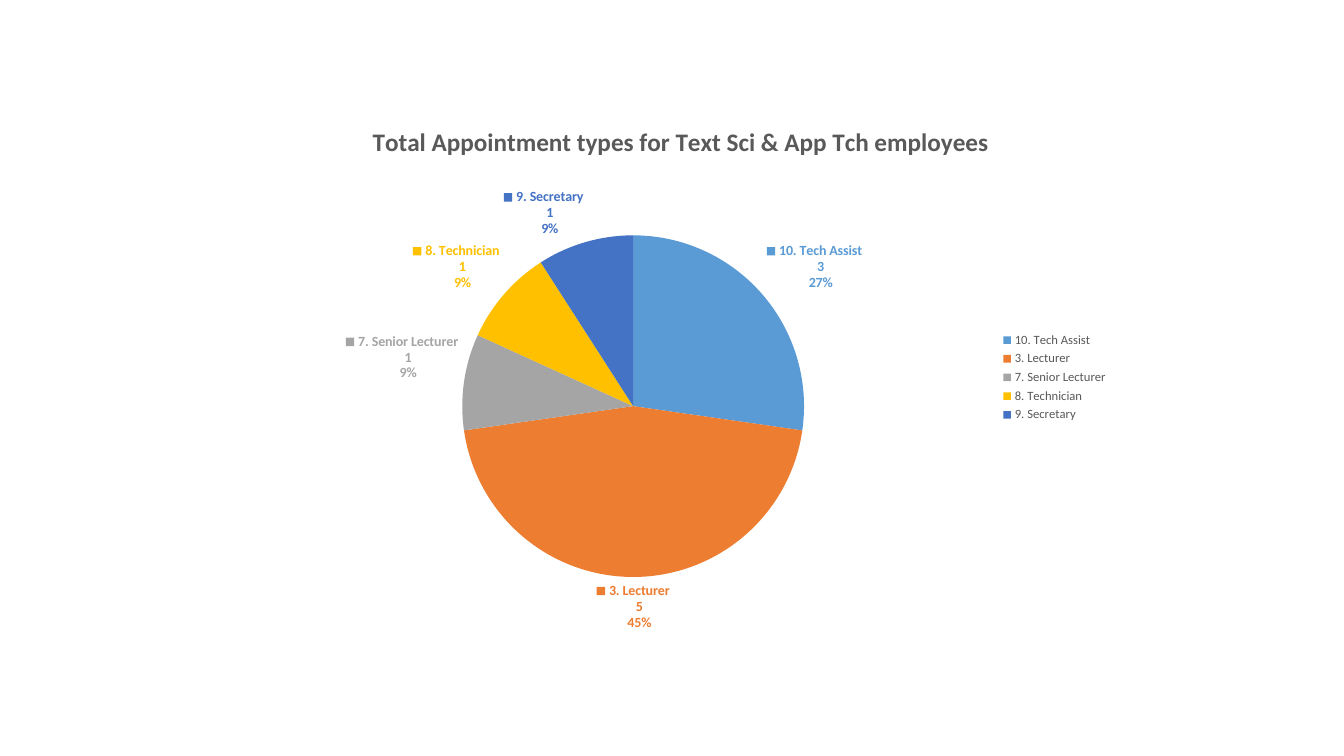
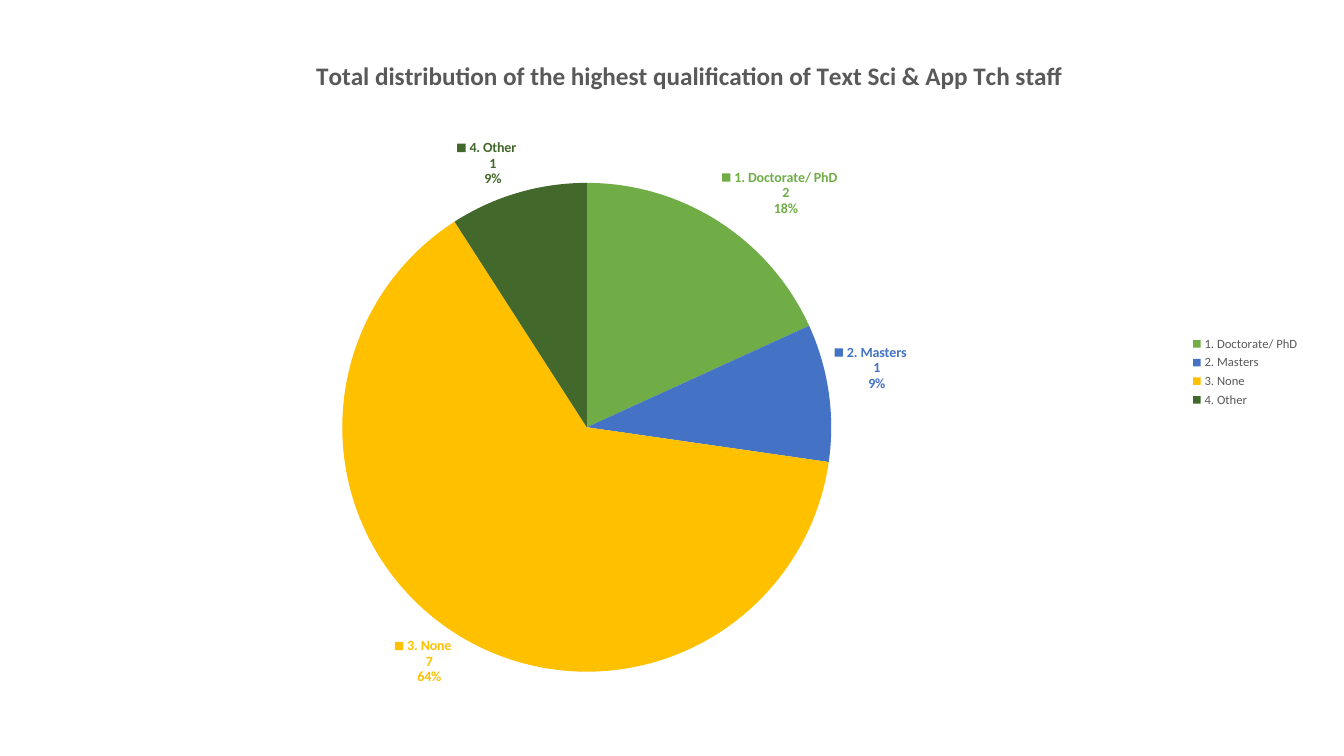
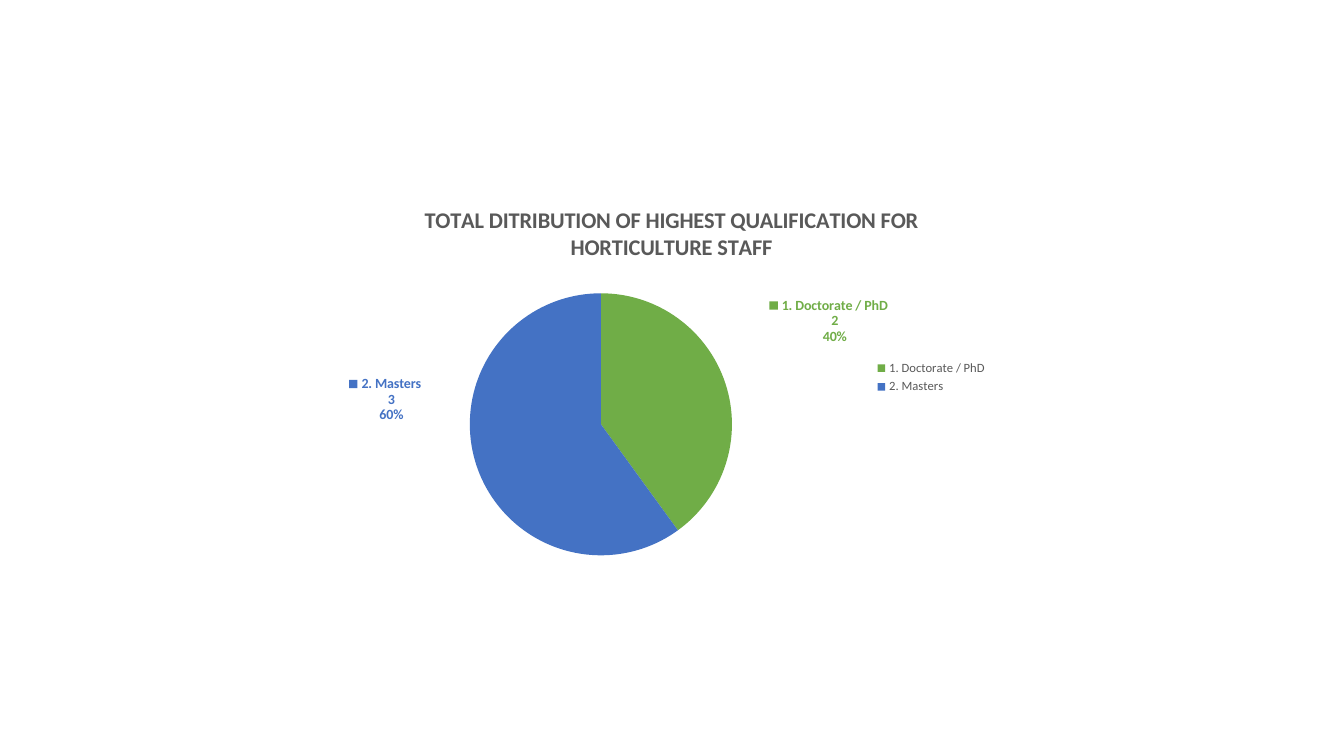
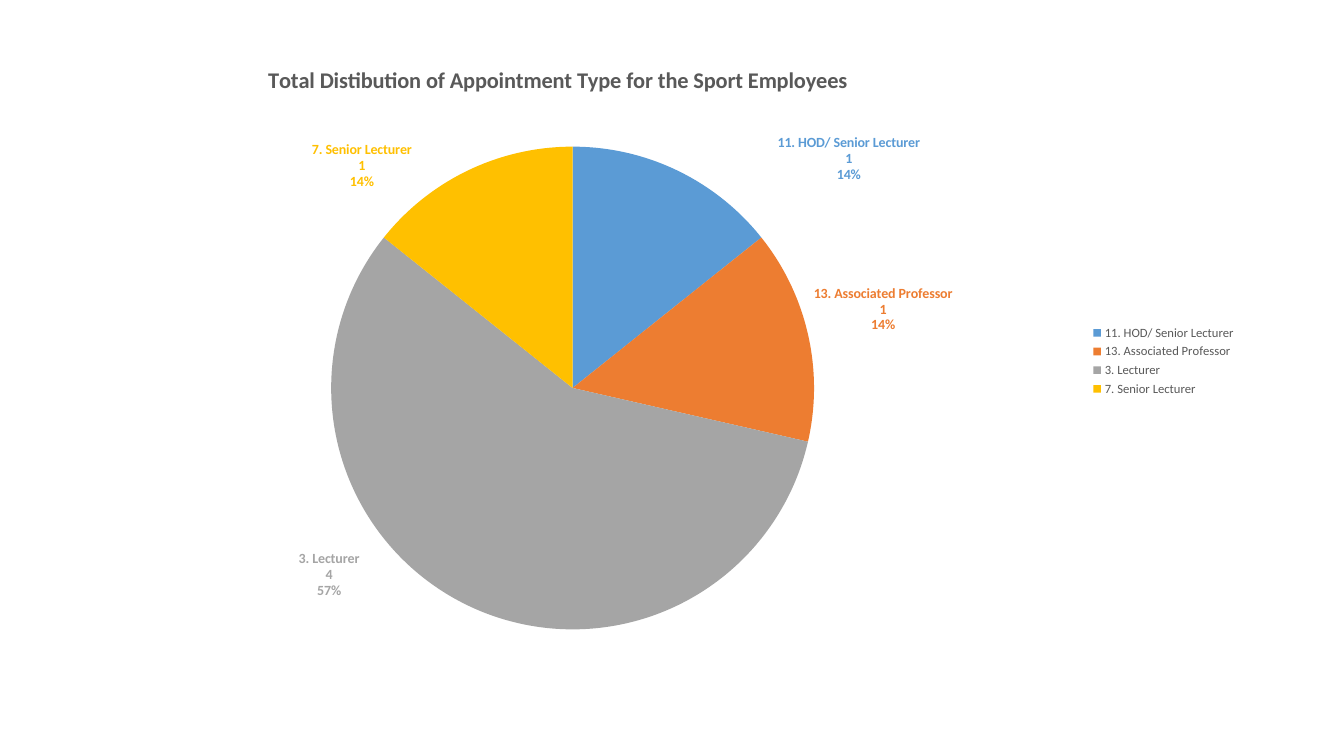
import dataclasses
import pptx
import pptx.chart.data
import pptx.dml.color
import pptx.enum.chart
import pptx.oxml
import pptx.oxml.ns
import pptx.util


@dataclasses.dataclass(frozen=True)
class Theme:
    font: str = "Calibri"
    text: str = "595959"
    blue: str = "5B9BD5"
    orange: str = "ED7D31"
    gray: str = "A5A5A5"
    gold: str = "FFC000"
    navy: str = "4472C4"
    green: str = "70AD47"
    forest: str = "43682B"
    title_size: int = 18
    small_title_size: int = 16
    label_size: int = 10
    legend_size: int = 9


THEME = Theme()


@dataclasses.dataclass(frozen=True)
class Slice:
    category: str
    value: int
    color: str
    label_shift: tuple = ()


@dataclasses.dataclass(frozen=True)
class PieSlide:
    title: str
    frame: tuple
    title_corner: tuple
    pie_center: tuple
    pie_diameter: float
    slices: tuple
    title_size: int = THEME.title_size
    legend_keys: bool = True


PIE_SLIDES = (
    PieSlide(
        "Total Appointment types for Text Sci & App Tch employees",
        (2.24, 1.1, 8.85, 5.29), (3.65, 1.19), (6.28, 4.03), 3.39,
        (
            Slice("10. Tech Assist", 3, THEME.blue),
            Slice("3. Lecturer", 5, THEME.orange),
            Slice("7. Senior Lecturer", 1, THEME.gray),
            Slice("8. Technician", 1, THEME.gold),
            Slice("9. Secretary", 1, THEME.navy),
        ),
    ),
    PieSlide(
        "Total distribution of the highest qualification of Text Sci & App Tch staff",
        (0.6, 0.26, 12.39, 6.86), (3.09, 0.53), (5.82, 4.24), 4.85,
        (
            Slice("1. Doctorate/ PhD", 2, THEME.green),
            Slice("2. Masters", 1, THEME.navy),
            Slice("3. None", 7, THEME.gold),
            Slice("4. Other", 1, THEME.forest),
        ),
    ),
    PieSlide(
        "TOTAL DITRIBUTION OF HIGHEST QUALIFICATION FOR HORTICULTURE STAFF",
        (3.45, 1.8, 6.44, 3.89), (4.17, 1.99), (5.96, 4.21), 2.6,
        (
            Slice("1. Doctorate / PhD", 2, THEME.green, (0.38, -0.37)),
            Slice("2. Masters", 3, THEME.navy, (-0.49, -0.9)),
        ),
        title_size=THEME.small_title_size,
    ),
    PieSlide(
        "Total Distibution of Appointment Type for the Sport Employees",
        (1.11, 0.37, 11.25, 6.42), (2.62, 0.6), (5.68, 3.85), 4.79,
        (
            Slice("11. HOD/ Senior Lecturer", 1, THEME.blue, (0.97, 0.17)),
            Slice("13. Associated Professor", 1, THEME.orange),
            Slice("3. Lecturer", 4, THEME.gray, (-1.05, -0.59)),
            Slice("7. Senior Lecturer", 1, THEME.gold, (-0.53, 0.24)),
        ),
        title_size=THEME.small_title_size,
        legend_keys=False,
    ),
)


def format_font(font, size, color, bold=False):
    font.name = THEME.font
    font.size = pptx.util.Pt(size)
    font.bold = bold
    font.color.rgb = pptx.dml.color.RGBColor.from_string(color)


def add_element(parent, tag, value=None):
    element = pptx.oxml.parse_xml(f"<c:{tag} {pptx.oxml.ns.nsdecls('c')}/>")
    if value is not None:
        element.set("val", str(value))
    parent.append(element)
    return element


def set_layout(parent, index, settings):
    for old_layout in parent.findall(pptx.oxml.ns.qn("c:layout")):
        parent.remove(old_layout)
    layout = add_element(parent, "layout")
    parent.insert(index, layout)
    manual = add_element(layout, "manualLayout")
    for tag, value in settings.items():
        add_element(manual, tag, value)


def format_title(chart, content):
    paragraph = chart.chart_title.text_frame.paragraphs[0]
    run = paragraph.add_run()
    run.text = content.title
    format_font(run.font, content.title_size, THEME.text, True)
    left, top, width, height = content.frame
    x, y = content.title_corner
    title = next(chart.element.iter(pptx.oxml.ns.qn("c:title")))
    set_layout(title, 1, {
        "xMode": "edge", "yMode": "edge",
        "x": (x - left) / width, "y": (y - top) / height,
    })


def place_pie(chart, content):
    left, top, width, height = content.frame
    x, y = content.pie_center
    radius = content.pie_diameter / 2
    plot_area = next(chart.element.iter(pptx.oxml.ns.qn("c:plotArea")))
    set_layout(plot_area, 0, {
        "layoutTarget": "inner", "xMode": "edge", "yMode": "edge",
        "x": (x - radius - left) / width, "y": (y - radius - top) / height,
        "w": content.pie_diameter / width, "h": content.pie_diameter / height,
    })


def format_slices(chart, content):
    series = chart.plots[0].series[0]
    for index, pie_slice in enumerate(content.slices):
        point = series.points[index]
        point.format.fill.solid()
        point.format.fill.fore_color.rgb = pptx.dml.color.RGBColor.from_string(pie_slice.color)
        point.format.line.fill.background()
        format_font(point.data_label.font, THEME.label_size, pie_slice.color, True)
        point.data_label.position = pptx.enum.chart.XL_LABEL_POSITION.OUTSIDE_END


def format_labels(chart, content):
    shown = {
        "showLegendKey": int(content.legend_keys), "showVal": 1,
        "showCatName": 1, "showSerName": 0, "showPercent": 1,
    }
    width, height = content.frame[2:]
    labels = chart.element.iter(pptx.oxml.ns.qn("c:dLbl"))
    for label, pie_slice in zip(list(labels), content.slices):
        for tag, value in shown.items():
            label.find(pptx.oxml.ns.qn(f"c:{tag}")).set("val", str(value))
        add_element(label, "separator").text = "\n"
        if pie_slice.label_shift:
            shift_x, shift_y = pie_slice.label_shift
            set_layout(label, 1, {"x": shift_x / width, "y": shift_y / height})
    for leader_lines in chart.element.iter(pptx.oxml.ns.qn("c:showLeaderLines")):
        leader_lines.set("val", "0")


def format_legend(chart):
    chart.has_legend = True
    chart.legend.position = pptx.enum.chart.XL_LEGEND_POSITION.RIGHT
    chart.legend.include_in_layout = False
    format_font(chart.legend.font, THEME.legend_size, THEME.text)


def add_pie_slide(presentation, content):
    slide = presentation.slides.add_slide(presentation.slide_layouts.get_by_name("Blank"))
    data = pptx.chart.data.CategoryChartData()
    data.categories = [pie_slice.category for pie_slice in content.slices]
    data.add_series("Series 1", [pie_slice.value for pie_slice in content.slices])
    frame = [pptx.util.Inches(length) for length in content.frame]
    chart = slide.shapes.add_chart(pptx.enum.chart.XL_CHART_TYPE.PIE, *frame, data).chart
    chart.font.name = THEME.font
    chart.font.size = pptx.util.Pt(THEME.label_size)
    chart.plots[0].vary_by_categories = True
    format_title(chart, content)
    place_pie(chart, content)
    format_slices(chart, content)
    format_labels(chart, content)
    format_legend(chart)


def main():
    presentation = pptx.Presentation()
    presentation.slide_width = pptx.util.Inches(13.33)
    presentation.slide_height = pptx.util.Inches(7.5)
    for content in PIE_SLIDES:
        add_pie_slide(presentation, content)
    presentation.save("out.pptx")


if __name__ == "__main__":
    main()
